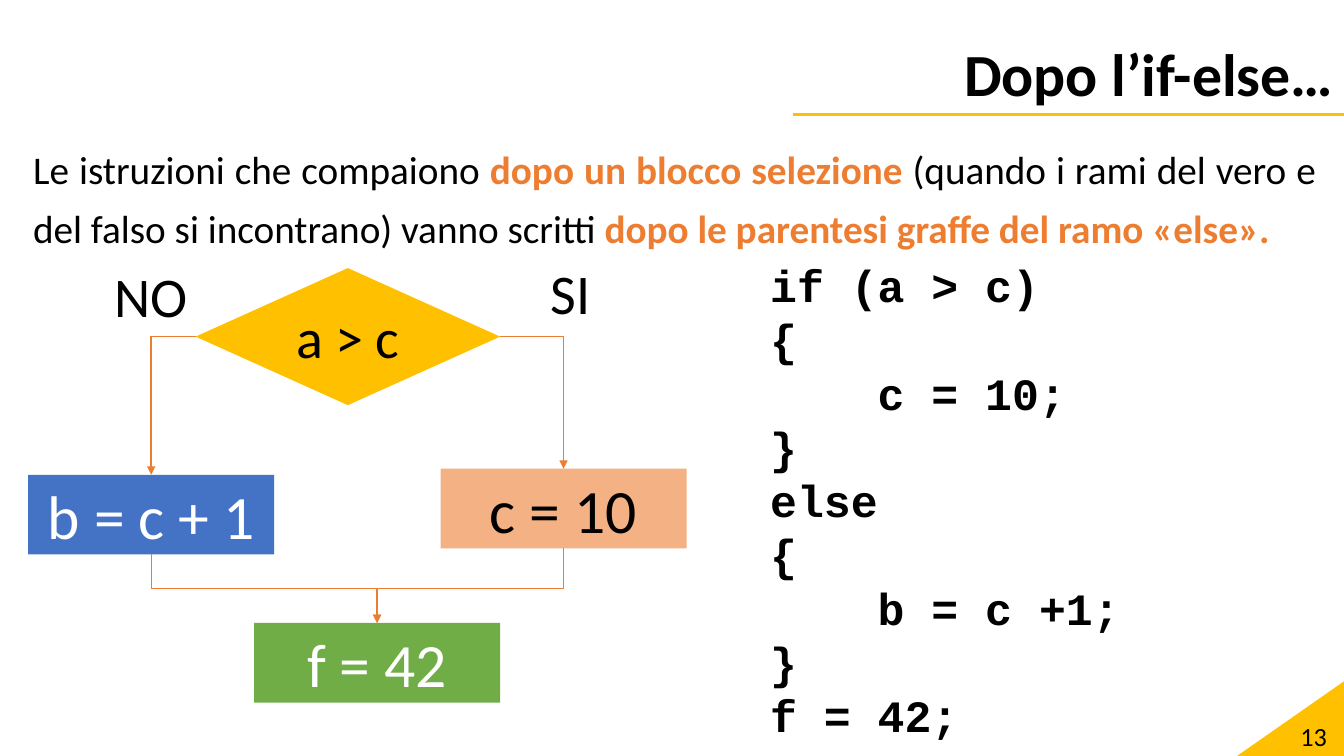
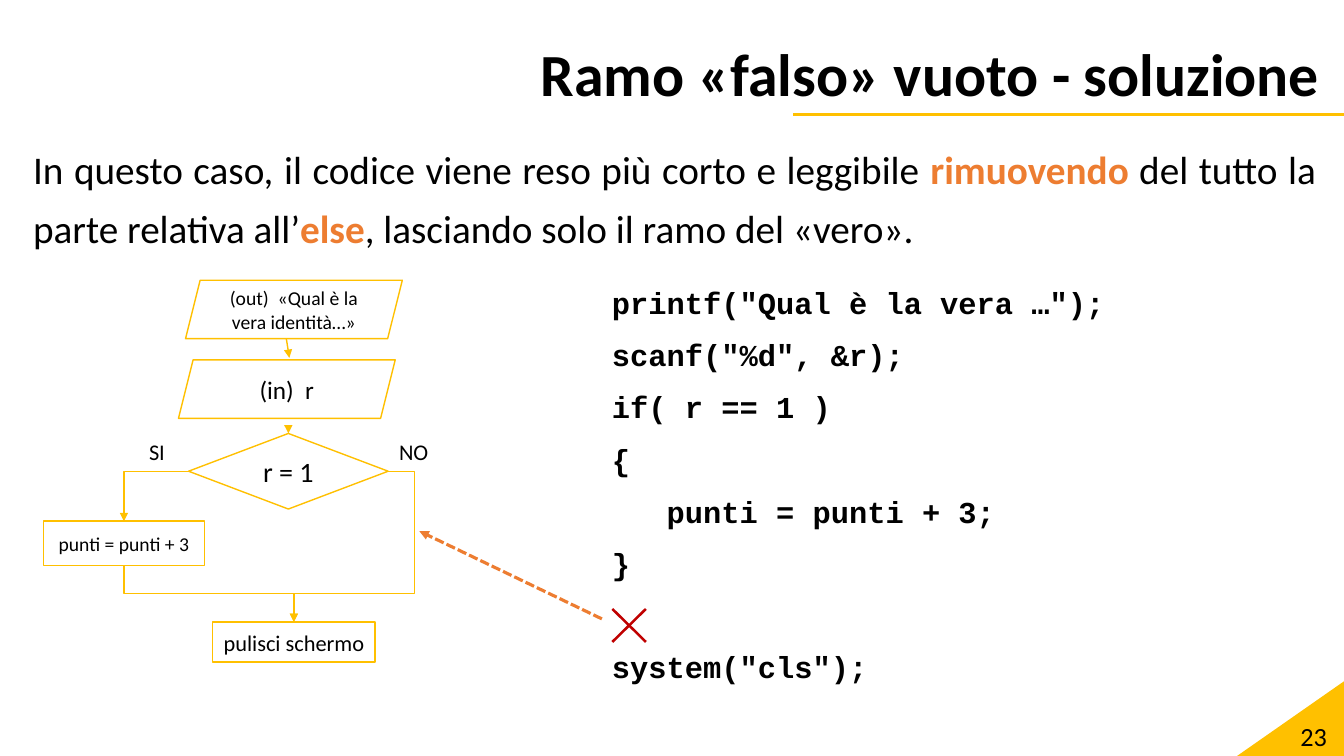
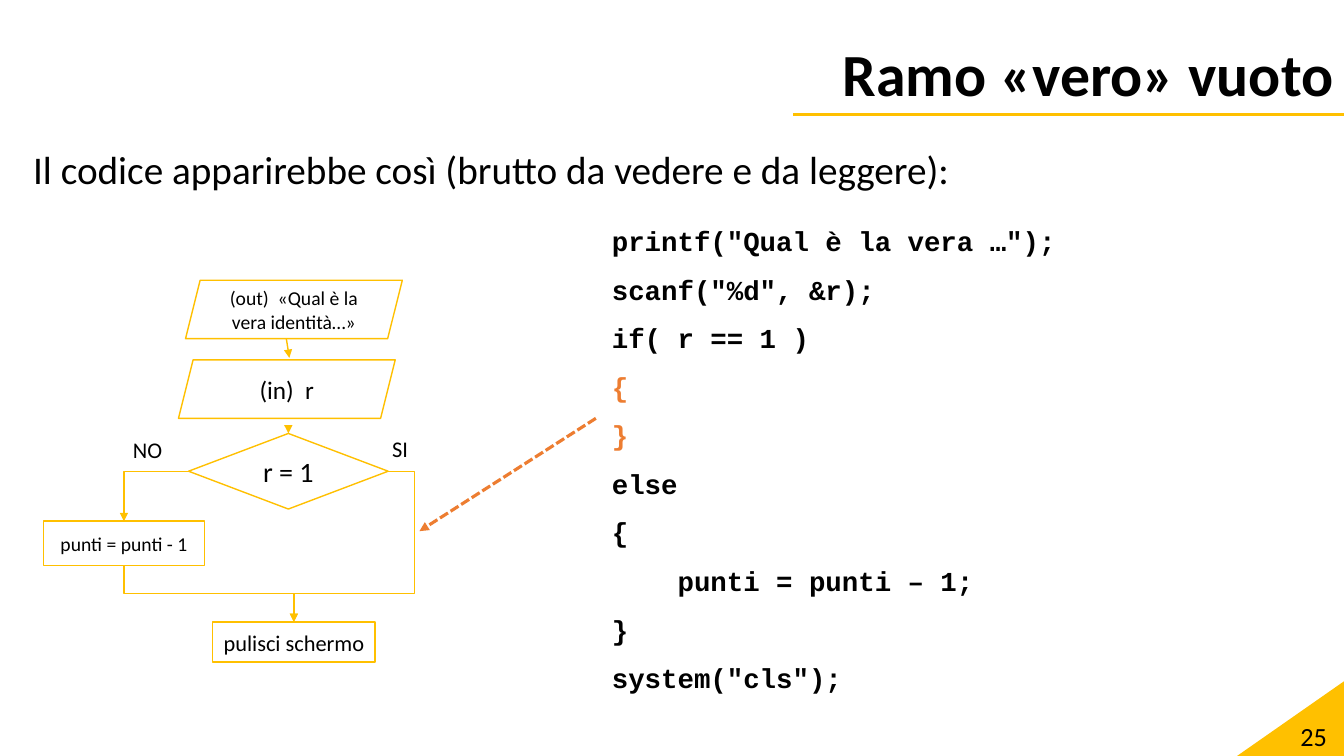
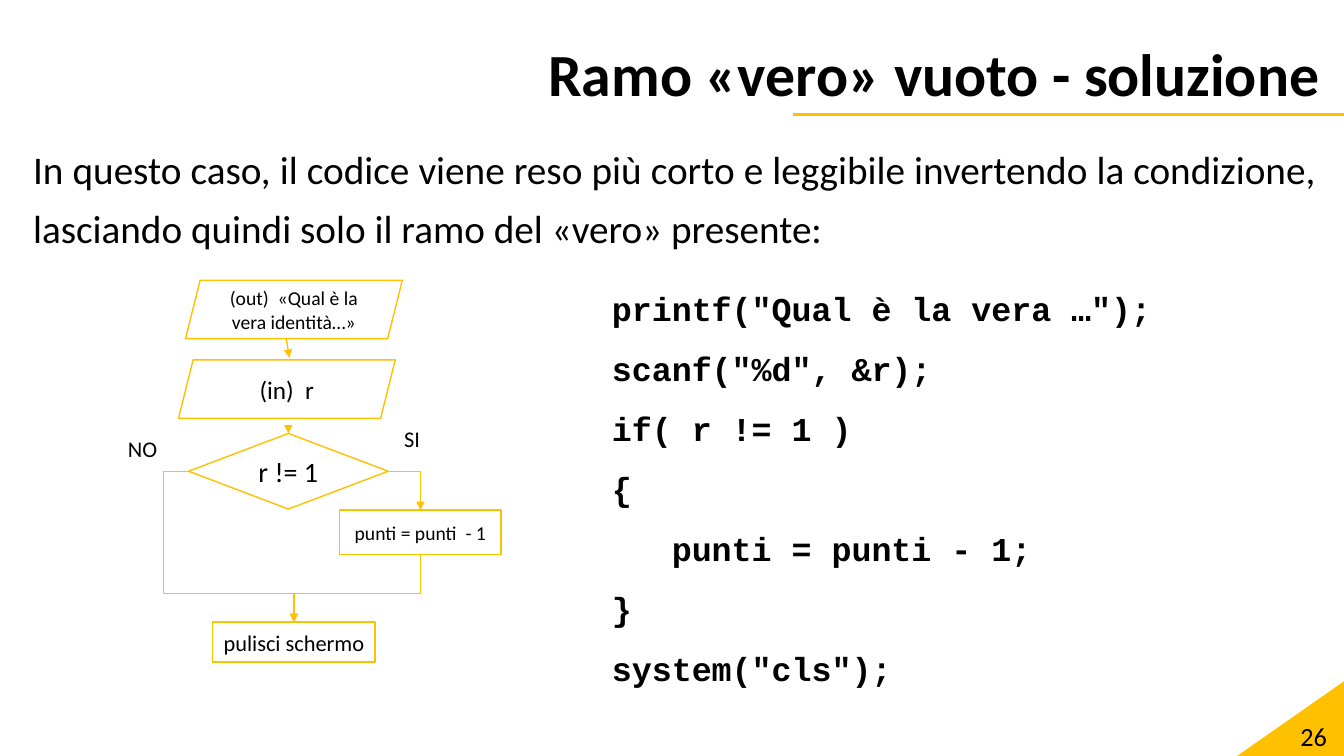
from lxml import etree
from pptx import Presentation
from pptx.dml.color import RGBColor
from pptx.enum.dml import MSO_LINE
from pptx.enum.shapes import MSO_CONNECTOR, MSO_SHAPE
from pptx.enum.text import MSO_ANCHOR, PP_ALIGN
from pptx.oxml.ns import qn
from pptx.util import Inches, Pt

BLACK = RGBColor(0x00, 0x00, 0x00)
WHITE = RGBColor(0xFF, 0xFF, 0xFF)
GOLD = RGBColor(0xFF, 0xC0, 0x00)
ORANGE = RGBColor(0xED, 0x7D, 0x31)
PEACH = RGBColor(0xF4, 0xB1, 0x83)
BLUE = RGBColor(0x44, 0x72, 0xC4)
GREEN = RGBColor(0x70, 0xAD, 0x47)
RED = RGBColor(0xC0, 0x00, 0x00)

SANS, MONO = "Calibri", "Courier New"

DIAMOND = MSO_SHAPE.DIAMOND
RECTANGLE = MSO_SHAPE.RECTANGLE
PARALLELOGRAM = MSO_SHAPE.PARALLELOGRAM
RIGHT_TRIANGLE = MSO_SHAPE.RIGHT_TRIANGLE
MULTIPLY = MSO_SHAPE.MATH_MULTIPLY
STRAIGHT, ELBOW = MSO_CONNECTOR.STRAIGHT, MSO_CONNECTOR.ELBOW
DASH = MSO_LINE.SQUARE_DOT
LEFT, RIGHT = PP_ALIGN.LEFT, PP_ALIGN.RIGHT
CENTER, JUSTIFY = PP_ALIGN.CENTER, PP_ALIGN.JUSTIFY
TOP, MIDDLE = MSO_ANCHOR.TOP, MSO_ANCHOR.MIDDLE

TOP_SITE, LEFT_SITE, BOTTOM_SITE, RIGHT_SITE = range(4)
MERGE_Y = 5.89


def style(span, size, color=BLACK, bold=False, font=SANS):
    span.font.name = font
    span.font.size = Pt(size)
    span.font.bold = bold
    span.font.color.rgb = color


def site_point(shape, site):
    """Return the middle of one side of a shape."""
    x, y = shape.left + shape.width // 2, shape.top + shape.height // 2
    return {
        TOP_SITE: (x, shape.top),
        LEFT_SITE: (shape.left, y),
        BOTTOM_SITE: (x, shape.top + shape.height),
        RIGHT_SITE: (shape.left + shape.width, y),
    }[site]


class Lesson:
    """Holds the deck, its style and the slide being filled."""

    def __init__(self):
        self.deck = Presentation()
        self.deck.slide_width = Inches(13.33)
        self.deck.slide_height = Inches(7.5)
        self.page = None

    def new_page(self, title, number):
        self.page = self.deck.slides.add_slide(self.deck.slide_layouts[5])
        corner = self.shape(RIGHT_TRIANGLE, (12.27, 6.76, 1.06, 0.74), fill=GOLD)
        corner.element.spPr.find(qn("a:xfrm")).set("flipH", "1")
        self.line((7.87, 1.14), (13.33, 1.14), GOLD, 2.25, arrow=False)

        box = self.page.shapes.title
        box.left, box.top, box.width, box.height = map(Inches, (0, 0.4, 13.33, 0.74))
        frame = box.text_frame
        frame.text = title
        frame.vertical_anchor = MIDDLE
        para = frame.paragraphs[0]
        para.alignment, para.line_spacing = RIGHT, 0.9
        style(para.runs[0], 42.7, bold=True)
        self.text((10.26, 7.1, 3, 0.4), str(number), 18.7, RIGHT, MIDDLE)

    def frame(self, at, anchor=TOP):
        box = self.page.shapes.add_textbox(*map(Inches, at))
        box.text_frame.word_wrap = True
        box.text_frame.vertical_anchor = anchor
        return box.text_frame

    def text(self, at, text, size, align=LEFT, anchor=TOP):
        para = self.frame(at, anchor).paragraphs[0]
        para.text = text
        para.alignment = align
        style(para.runs[0], size)

    def body(self, *spans):
        """Write the introduction; every second span is emphasised."""
        para = self.frame((0.23, 1.28, 12.92, 1.33)).paragraphs[0]
        para.alignment, para.line_spacing = JUSTIFY, 1.25
        for index, text in enumerate(spans):
            span = para.add_run()
            span.text = text
            accent = index % 2 == 1
            style(span, 28, ORANGE if accent else BLACK, accent)

    def code(self, at, source, size, spacing=1, before=0, accents=(), gaps=None):
        """Write code lines; accents are line indices, gaps map one to its space before."""
        frame = self.frame(at)
        for index, line in enumerate(source.split("\n")):
            para = frame.add_paragraph() if index else frame.paragraphs[0]
            para.text = line
            para.alignment, para.line_spacing = LEFT, spacing
            if index:
                para.space_before = Pt((gaps or {}).get(index, before))
            style(para.runs[0], size, ORANGE if index in accents else BLACK, True, MONO)

    def shape(self, kind, at, text="", size=18, fill=WHITE, line=None, color=BLACK):
        shape = self.page.shapes.add_shape(kind, *map(Inches, at))
        shape.shadow.inherit = False
        shape.fill.solid()
        shape.fill.fore_color.rgb = fill
        if line is None:
            shape.line.fill.background()
        else:
            shape.line.color.rgb = line
            shape.line.width = Pt(1)
        if text:
            shape.text_frame.text = text
            shape.text_frame.vertical_anchor = MIDDLE
            para = shape.text_frame.paragraphs[0]
            para.alignment = CENTER
            style(para.runs[0], size, color)
        return shape

    def dress(self, connector, color, width=1, arrow=True, dash=None):
        connector.line.color.rgb = color
        connector.line.width = Pt(width)
        if dash is not None:
            connector.line.dash_style = dash
        properties = connector.element.spPr
        if arrow:
            etree.SubElement(properties.find(qn("a:ln")), qn("a:tailEnd"), type="triangle")
        etree.SubElement(properties, qn("a:effectLst"))

    def line(self, start, end, color, width=1, arrow=True, dash=None):
        connector = self.page.shapes.add_connector(STRAIGHT, *map(Inches, start + end))
        self.dress(connector, color, width, arrow, dash)
        return connector

    def link(self, start, site, end, color, bend_x=None, bend_y=None):
        """Join a side of start to the top of end, turning at the given bends."""
        x1, y1 = site_point(start, site)
        x2, y2 = site_point(end, TOP_SITE)
        connector = self.page.shapes.add_connector(ELBOW, x1, y1, x2, y2)
        connector.begin_connect(start, site)
        connector.end_connect(end, TOP_SITE)

        width, height = abs(x2 - x1), abs(y2 - y1)
        flip, rotation, bends = {"flipH": x2 < x1, "flipV": False}, 0, []
        if bend_x is not None:
            bends.append((Inches(bend_x) - x1) / (x2 - x1))
        if bend_y is not None:
            bends.append((Inches(bend_y) - y1) / (y2 - y1))
        if site == BOTTOM_SITE:
            width, height = height, width
            flip, rotation = {"flipH": False, "flipV": x2 > x1}, 90
        connector.left = (x1 + x2 - width) // 2
        connector.top = (y1 + y2 - height) // 2
        connector.width, connector.height = width, height

        frame = connector.element.spPr.find(qn("a:xfrm"))
        frame.set("rot", str(rotation * 60000))
        for name, value in flip.items():
            frame.set(name, str(int(value)))
        geometry = connector.element.spPr.find(qn("a:prstGeom"))
        geometry.set("prst", f"bentConnector{len(bends) + 2}")
        for index, bend in enumerate(bends, 1):
            etree.SubElement(geometry.find(qn("a:avLst")), qn("a:gd"),
                             name=f"adj{index}", fmla=f"val {round(bend * 100000)}")
        self.dress(connector, color)

    def quiz_flow(self, test, action, action_at, action_site, detour_x, yes_at, no_at):
        """Draw the quiz flowchart, with its action on one side and a detour on the other."""
        def step(kind, at, text, size):
            return self.shape(kind, at, text, size, line=GOLD)

        step(PARALLELOGRAM, (1.84, 2.78, 2.15, 0.58), "(out)  «Qual è la vera identità…»", 14)
        step(PARALLELOGRAM, (1.77, 3.57, 2.15, 0.58), "(in)  r", 18)
        choice = step(DIAMOND, (1.87, 4.3, 1.98, 0.75), test, 20)
        task = step(RECTANGLE, action_at + (1.6, 0.44), action, 14)
        clear = step(RECTANGLE, (2.11, 6.17, 1.61, 0.4), "pulisci schermo", 16)
        self.line((2.84, 3.36), (2.87, 3.55), GOLD)
        self.line((2.86, 4.24), (2.86, 4.3), GOLD).end_connect(choice, TOP_SITE)
        detour_site = RIGHT_SITE if action_site == LEFT_SITE else LEFT_SITE
        self.link(choice, action_site, task, GOLD)
        self.link(choice, detour_site, clear, GOLD, detour_x, MERGE_Y)
        self.link(task, BOTTOM_SITE, clear, GOLD, bend_y=MERGE_Y)
        self.text(yes_at + (0.4, 0.37), "SI", 16)
        self.text(no_at + (0.64, 0.37), "NO", 16)


def after_if_else(lesson):
    lesson.new_page("Dopo l’if-else…", 13)
    lesson.body("Le istruzioni che compaiono ", "dopo un blocco selezione ",
                "(quando i rami del vero e del falso si incontrano) vanno scritti ",
                "dopo le parentesi graffe del ramo «else».")
    choice = lesson.shape(DIAMOND, (1.94, 2.66, 3.02, 1.36), "a > c", 40, GOLD)
    size = (2.44, 0.79)
    yes = lesson.shape(RECTANGLE, (4.37, 4.65) + size, "c = 10", 44, PEACH)
    no = lesson.shape(RECTANGLE, (0.28, 4.71) + size, "b = c + 1", 44, BLUE, color=WHITE)
    last = lesson.shape(RECTANGLE, (2.52, 6.18) + size, "f = 42", 44, GREEN, color=WHITE)
    for task, site in ((yes, RIGHT_SITE), (no, LEFT_SITE)):
        lesson.link(choice, site, task, ORANGE)
        lesson.link(task, BOTTOM_SITE, last, ORANGE, bend_y=5.84)
    lesson.text((5.36, 2.52, 0.61, 0.77), "SI", 40)
    lesson.text((1.04, 2.55, 1.09, 0.77), "NO", 40)
    lesson.code((7.54, 2.51, 4, 4.95), """if (a > c)
{
    c = 10;
}
else
{
    b = c +1;
}
f = 42;""", 32)


def empty_false_solution(lesson):
    lesson.new_page("Ramo «falso» vuoto - soluzione ", 23)
    lesson.body("In questo caso, il codice viene reso più corto e leggibile ", "rimuovendo",
                " del tutto la parte relativa all’", "else",
                ", lasciando solo il ramo del «vero».")
    lesson.quiz_flow("r = 1", "punti = punti + 3", (0.43, 5.17), LEFT_SITE, 4.11,
                     (1.38, 4.3), (3.86, 4.3))
    lesson.code((5.97, 2.75, 5.99, 4.42), """printf("Qual è la vera …");
scanf("%d", &r);
if( r == 1 )
{
   punti = punti + 3;
}
system("cls");""", 21.7, 1.05, 10, gaps={6: 46})
    lesson.line((5.97, 6.14), (4.16, 5.27), ORANGE, 2.25, dash=DASH)
    cross = lesson.shape(MULTIPLY, (5.92, 5.89, 0.64, 0.63), fill=RED)
    cross.adjustments[0] = 0.04


def empty_true(lesson):
    lesson.new_page("Ramo «vero» vuoto", 25)
    lesson.body("Il codice apparirebbe così (brutto da vedere e da leggere):")
    lesson.quiz_flow("r = 1", "punti = punti - 1", (0.43, 5.17), LEFT_SITE, 4.11,
                     (3.79, 4.27), (1.22, 4.28))
    lesson.code((5.97, 2.16, 6.58, 5.09), """printf("Qual è la vera …");
scanf("%d", &r);
if( r == 1 )
{
}
else
{
    punti = punti – 1;
}
system("cls");""", 19.6, 1.05, 10, accents=(3, 4))
    lesson.line((5.91, 4.15), (4.16, 5.27), ORANGE, 2.25, dash=DASH)


def empty_true_solution(lesson):
    lesson.new_page("Ramo «vero» vuoto - soluzione ", 26)
    lesson.body("In questo caso, il codice viene reso più corto e leggibile invertendo la "
                "condizione, lasciando quindi solo il ramo del «vero» presente:")
    lesson.quiz_flow("r != 1", "punti = punti  - 1", (3.37, 5.06), RIGHT_SITE, 1.62,
                     (3.91, 4.17), (1.17, 4.27))
    lesson.code((5.97, 2.75, 5.99, 4.42), """printf("Qual è la vera …");
scanf("%d", &r);
if( r != 1 )
{
   punti = punti - 1;
}
system("cls");""", 23.8, 1.15, 10)


def main():
    lesson = Lesson()
    for build in (after_if_else, empty_false_solution, empty_true, empty_true_solution):
        build(lesson)
    lesson.deck.save("out.pptx")


if __name__ == "__main__":
    main()
